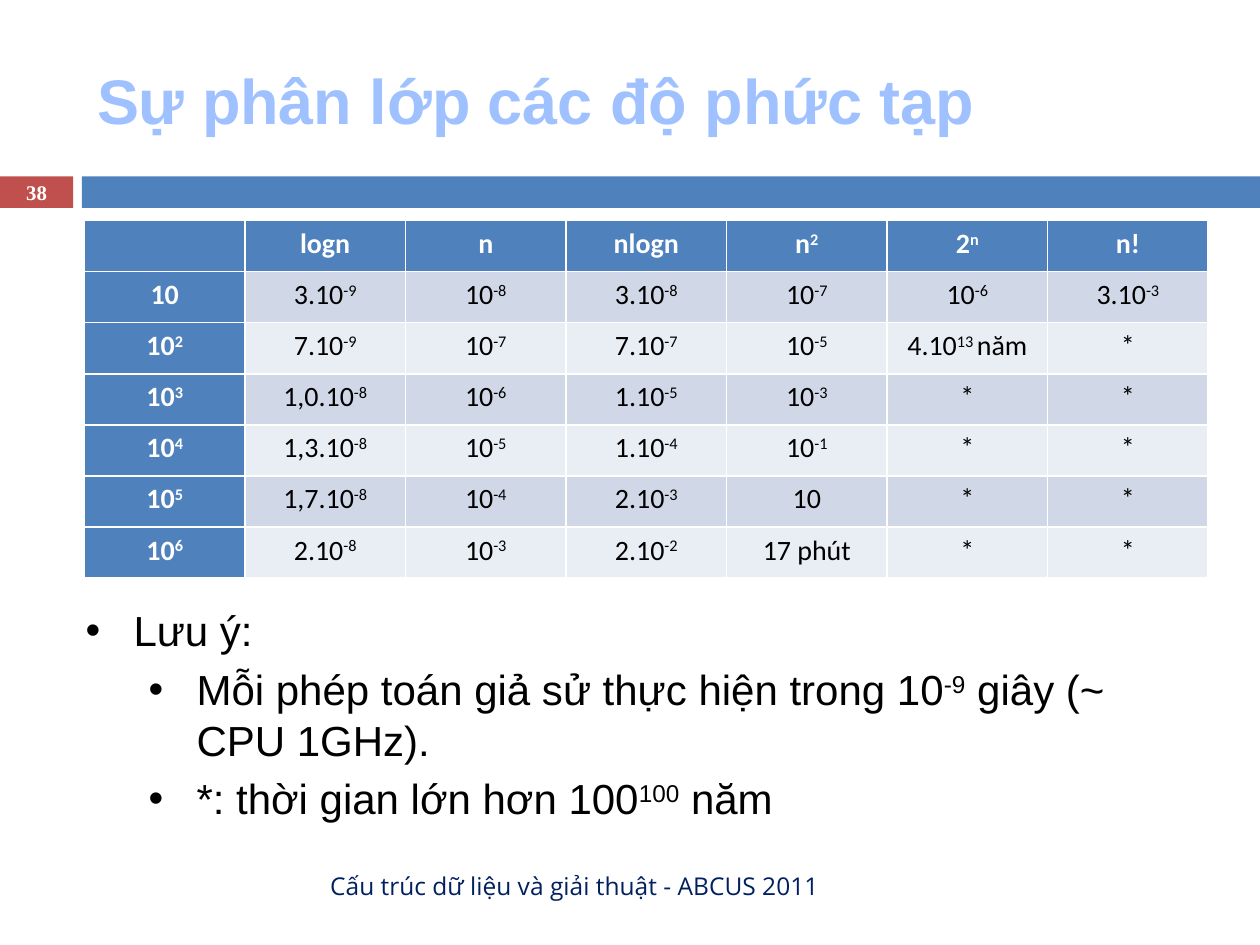
from lxml.etree import SubElement
from pptx import Presentation
from pptx.dml.color import RGBColor
from pptx.enum.shapes import MSO_SHAPE
from pptx.enum.text import MSO_ANCHOR, MSO_AUTO_SIZE, PP_ALIGN
from pptx.oxml.ns import qn
from pptx.util import Inches, Pt

BLUE = RGBColor(0x4F, 0x81, 0xBD)
RED = RGBColor(0xC0, 0x50, 0x4D)
LIGHT_BLUE = RGBColor(0xA0, 0xC1, 0xFF)
NAVY = RGBColor(0x00, 0x20, 0x60)
BAND_DARK = RGBColor(0xD0, 0xD8, 0xE8)
BAND_LIGHT = RGBColor(0xE9, 0xED, 0xF4)
WHITE = RGBColor(0xFF, 0xFF, 0xFF)
BLACK = RGBColor(0x00, 0x00, 0x00)


def write(paragraph, text, font_name, size, color, bold=False):
    for index, part in enumerate(text.split("^")):
        run = paragraph.add_run()
        run.text = part
        run.font.name = font_name
        run.font.size = Pt(size)
        run.font.color.rgb = color
        run.font.bold = bold
        if index % 2:
            run.font._element.set("baseline", "30000")


def place(shape, left, top, width, height):
    shape.left, shape.top = Inches(left), Inches(top)
    shape.width, shape.height = Inches(width), Inches(height)


prs = Presentation()
prs.slide_width, prs.slide_height = Inches(10), Inches(7.5)
slide = prs.slides.add_slide(prs.slide_layouts[1])
title, notes = slide.placeholders

for left, width, color in [(0, 0.58, RED), (0.65, 9.35, BLUE)]:
    band = slide.shapes.add_shape(
        MSO_SHAPE.RECTANGLE, Inches(left), Inches(1.4), Inches(width), Inches(0.25)
    )
    band.shadow.inherit = False
    band.fill.solid()
    band.fill.fore_color.rgb = color
    band.line.fill.background()

place(title, 0.67, 0.25, 8.92, 1.08)
title.text_frame.auto_size = MSO_AUTO_SIZE.NONE
title.text_frame.vertical_anchor = MSO_ANCHOR.MIDDLE
heading = title.text_frame.paragraphs[0]
heading.alignment = PP_ALIGN.LEFT
write(heading, "Sự phân lớp các độ phức tạp", "Arial", 36, LIGHT_BLUE, True)

captions = [
    ("Cấu trúc dữ liệu và giải thuật - ABCUS 2011", (0.67, 6.83, 5.93, 0.4),
     PP_ALIGN.RIGHT, "Open Sans", 14, NAVY, False),
    ("38", (0, 1.39, 0.58, 0.27),
     PP_ALIGN.CENTER, "Times New Roman", 11.9, WHITE, True),
]
for text, box, alignment, font_name, size, color, bold in captions:
    caption = slide.shapes.add_textbox(*map(Inches, box)).text_frame
    caption.word_wrap = True
    caption.vertical_anchor = MSO_ANCHOR.MIDDLE
    caption.paragraphs[0].alignment = alignment
    write(caption.paragraphs[0], text, font_name, size, color, bold)

running_times = [
    ["", "logn", "n", "nlogn", "n^2", "2^n", "n!"],
    ["10", "3.10^-9", "10^-8", "3.10^-8", "10^-7", "10^-6", "3.10^-3"],
    ["10^2", "7.10^-9", "10^-7", "7.10^-7", "10^-5", "4.10^13 ^năm", "*"],
    ["10^3", "1,0.10^-8", "10^-6", "1.10^-5", "10^-3", "*", "*"],
    ["10^4", "1,3.10^-8", "10^-5", "1.10^-4", "10^-1", "*", "*"],
    ["10^5", "1,7.10^-8", "10^-4", "2.10^-3", "10", "*", "*"],
    ["10^6", "2.10^-8", "10^-3", "2.10^-2", "17 phút", "*", "*"],
]
complexity = slide.shapes.add_table(
    len(running_times), len(running_times[0]),
    Inches(0.67), Inches(1.75), Inches(8.92), Inches(2.84),
).table
complexity.first_col = True
for r, row in enumerate(running_times):
    for c, text in enumerate(row):
        is_header = r == 0 or c == 0
        cell = complexity.cell(r, c)
        cell.fill.solid()
        cell.fill.fore_color.rgb = BLUE if is_header else BAND_DARK if r % 2 else BAND_LIGHT
        entry = cell.text_frame.paragraphs[0]
        entry.alignment = PP_ALIGN.CENTER
        if text:
            write(entry, text, "Calibri", 16, WHITE if is_header else BLACK, is_header)

place(notes, 0.58, 4.75, 9, 1.92)
notes.text_frame.auto_size = MSO_AUTO_SIZE.NONE
remarks = [
    (0, "Lưu ý:"),
    (1, "Mỗi phép toán giả sử thực hiện trong 10^-9^ giây (~ CPU 1GHz)."),
    (1, "*: thời gian lớn hơn 100^100^ năm"),
]
for index, (level, text) in enumerate(remarks):
    remark = notes.text_frame.add_paragraph() if index else notes.text_frame.paragraphs[0]
    remark.level = level
    properties = remark._p.get_or_add_pPr()
    properties.set("marL", str(Inches(0.38 + 0.5 * level)))
    properties.set("indent", str(Inches(-0.38)))
    SubElement(properties, qn("a:buFont"), typeface="Arial")
    SubElement(properties, qn("a:buChar"), char="•")
    write(remark, text, "Arial", 24, BLACK)

prs.save("out.pptx")
